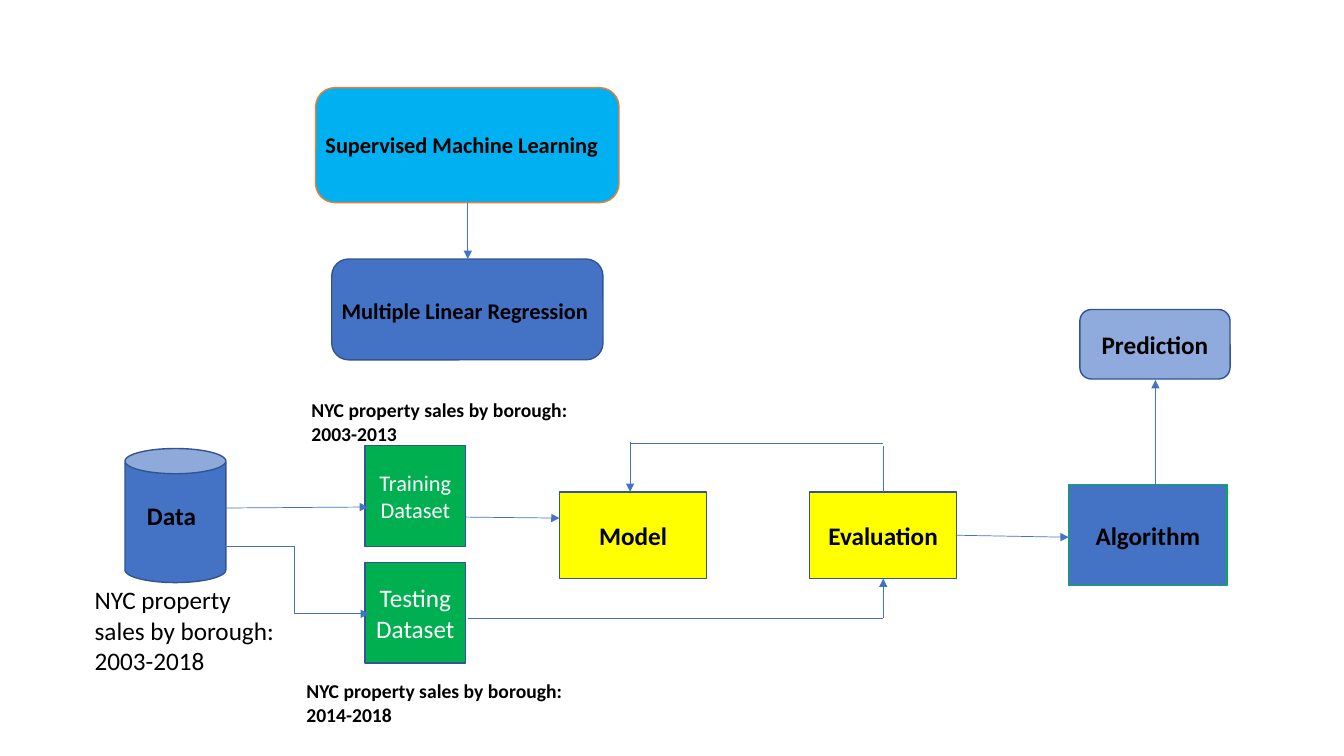
from lxml import etree
from pptx import Presentation
from pptx import util as u
from pptx.dml import color
from pptx.enum import shapes, text
from pptx.oxml import ns

PX = 9144
BLUE, NAVY, GREEN, YELLOW = "4472C4", "325491", "00B050", "FFFF00"
BLACK, WHITE = "000000", "FFFFFF"
RECT = shapes.MSO_SHAPE.RECTANGLE
ROUND = shapes.MSO_SHAPE.ROUNDED_RECTANGLE
CAN = shapes.MSO_SHAPE.CAN


def rgb(value):
    return color.RGBColor.from_string(value)


class Diagram:
    """Draws the parts of a flow diagram on one slide in a shared style."""

    def __init__(self, prs, font="Calibri"):
        self.font = font
        self.slide = prs.slides.add_slide(prs.slide_layouts[6])

    def set_text(self, tf, words, size, ink, bold, align):
        tf.word_wrap = True
        p = tf.paragraphs[0]
        p.text = words
        p.alignment = align
        p.font.name, p.font.size, p.font.bold = self.font, u.Pt(size), bold
        p.font.color.rgb = rgb(ink)

    def box(self, kind, at, fill, line=NAVY, words="", size=18, ink=BLACK, bold=True):
        sp = self.slide.shapes.add_shape(kind, *(n * PX for n in at))
        sp.shadow.inherit = False
        sp.fill.solid()
        sp.fill.fore_color.rgb = rgb(fill)
        sp.line.color.rgb = rgb(line)
        sp.line.width = u.Pt(1)
        if words:
            sp.text_frame.vertical_anchor = text.MSO_ANCHOR.MIDDLE
            self.set_text(sp.text_frame, words, size, ink, bold, text.PP_ALIGN.CENTER)

    def label(self, at, words, size, bold=True):
        sp = self.slide.shapes.add_textbox(*(n * PX for n in at))
        self.set_text(sp.text_frame, words, size, BLACK, bold, text.PP_ALIGN.LEFT)

    def link(self, ends, arrow=True, kind=shapes.MSO_CONNECTOR.STRAIGHT):
        c = self.slide.shapes.add_connector(kind, *(n * PX for n in ends))
        c.line.color.rgb = rgb(BLUE)
        c.line.width = u.Pt(0.5)
        if arrow:
            etree.SubElement(c.get_or_add_ln(), ns.qn("a:tailEnd"), type="triangle")
        etree.SubElement(c.element.spPr, ns.qn("a:effectLst"))


def main():
    prs = Presentation()
    prs.slide_width, prs.slide_height = 1333 * PX, 750 * PX
    d = Diagram(prs)

    d.box(ROUND, (313, 87, 301, 114), "00B0F0", "ED7D31")
    d.label((313, 125, 356, 37), "Supervised Machine Learning", 16)
    d.box(ROUND, (329, 257, 269, 100), BLUE)
    d.label((329, 290, 300, 37), "Multiple Linear Regression", 16)
    d.link((464, 201, 464, 257))

    d.box(CAN, (124, 445, 100, 133), BLUE)
    d.label((136, 491, 300, 40), "Data", 18)
    for name, top, size in (("Testing", 558, 18), ("Training", 442, 16)):
        d.box(RECT, (362, top, 100, 100), GREEN, NAVY, f"{name} Dataset", size, WHITE, False)
    for name, left in (("Model", 555), ("Evaluation", 803)):
        d.box(RECT, (left, 488, 146, 86), YELLOW, words=name)
    d.box(RECT, (1060, 481, 157, 100), BLUE, GREEN, "Algorithm")
    d.box(ROUND, (1071, 307, 149, 69), "8FAADC", words="Prediction")

    d.link((224, 504, 365, 503))
    d.link((218, 542, 366, 609), kind=shapes.MSO_CONNECTOR.ELBOW)
    for ends in ((464, 613, 876, 613), (625, 440, 876, 440), (876, 442, 876, 488)):
        d.link(ends, arrow=False)
    for ends in ((876, 613, 876, 574), (625, 439, 625, 488), (462, 513, 555, 514),
                 (948, 531, 1060, 533), (1146, 485, 1146, 377)):
        d.link(ends)

    d.label((84, 575, 201, 101), "NYC property sales by borough: 2003-2018", 18, False)
    for left, top, years in ((299, 390, "2003-2013"), (294, 669, "2014-2018")):
        d.label((left, top, 300, 57), f"NYC property sales by borough: {years}", 14)

    prs.save("out.pptx")


if __name__ == "__main__":
    main()
